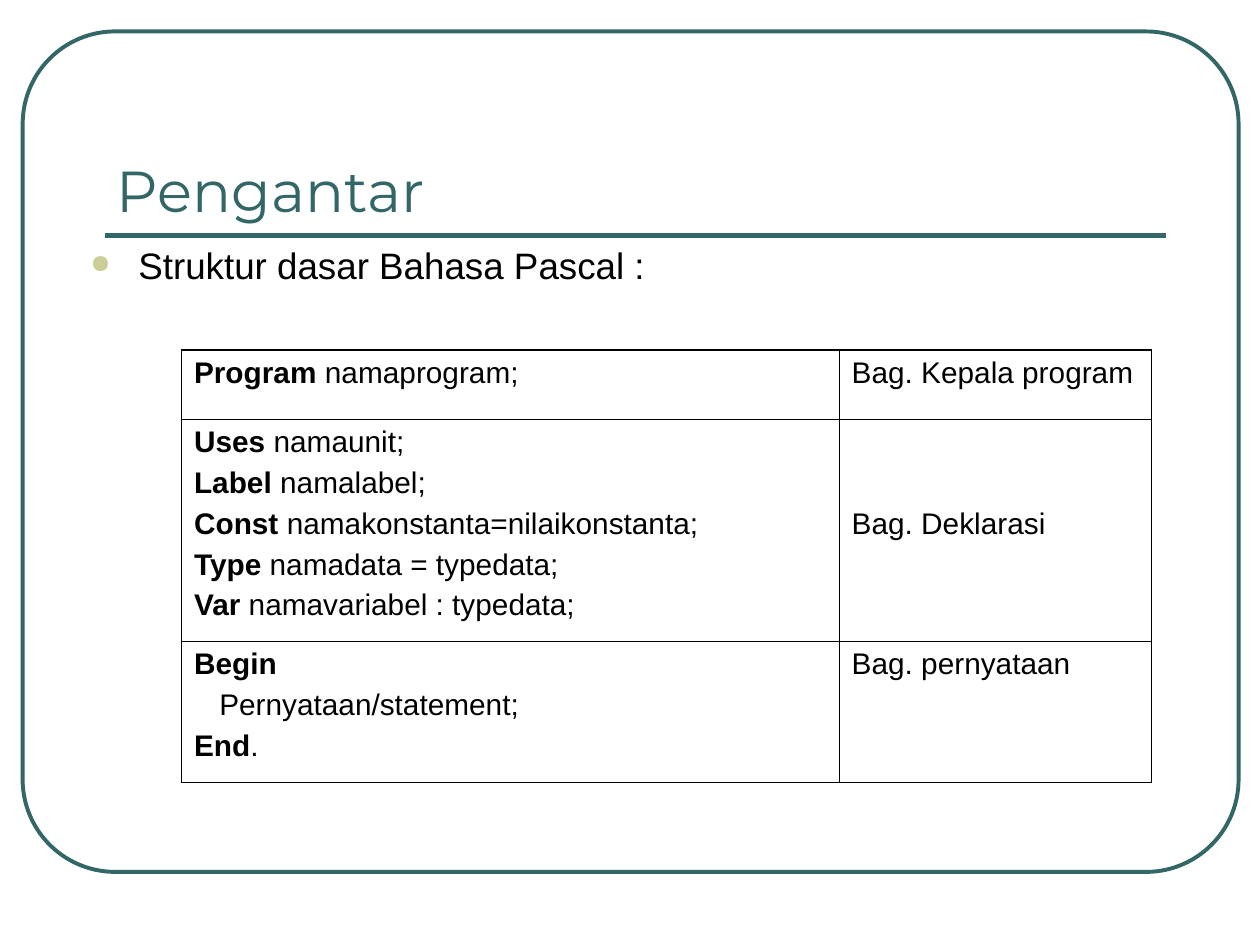
from lxml.etree import SubElement
from pptx import Presentation
from pptx.dml.color import RGBColor
from pptx.enum.shapes import MSO_CONNECTOR, MSO_SHAPE
from pptx.enum.text import MSO_ANCHOR
from pptx.oxml.ns import qn
from pptx.util import Inches, Pt

COLORS = {"frame": "336666", "bullet": "CCCC99", "text": "000000"}
TITLE = "Pengantar"
INTRO = "Struktur dasar Bahasa Pascal :"
# Each row: code lines as (keyword, rest), section name, lines the name is moved down
ROWS = [
    ([("Program", " namaprogram;")], "Bag. Kepala program", 0),
    ([("Uses", " namaunit;"),
      ("Label", " namalabel;"),
      ("Const", " namakonstanta=nilaikonstanta;"),
      ("Type", " namadata = typedata;"),
      ("Var", " namavariabel : typedata;")], "Bag. Deklarasi", 2),
    ([("Begin", ""),
      ("", "Pernyataan/statement;"),
      ("End", ".")], "Bag. pernyataan", 0),
]
COLUMN_WIDTHS = [5.22, 2.48]
ROW_HEIGHTS = [0.55, 1.76, 1.12]
LINE_STEP = 0.325
STATEMENT_INDENT = 0.2
OUTER, INNER = 1.08, 0.45


def color(name):
    return RGBColor.from_string(COLORS[name])


def add_span(para, text, size, font="Arial", fill="text", bold=False):
    span = para.add_run()
    span.text = text
    span.font.size = Pt(size)
    span.font.name = font
    span.font.bold = bold
    span.font.color.rgb = color(fill)


def add_text_box(page, left, top, width, height, anchor):
    """Add a wrapping text box and return its first paragraph."""
    box = page.shapes.add_textbox(*map(Inches, (left, top, width, height)))
    box.text_frame.word_wrap = True
    box.text_frame.vertical_anchor = anchor
    return box.text_frame.paragraphs[0]


def add_bullet(para, indent):
    properties = para._p.get_or_add_pPr()
    properties.set("marL", str(Inches(indent)))
    properties.set("indent", str(-Inches(indent)))
    bullet_color = SubElement(properties, qn("a:buClr"))
    SubElement(bullet_color, qn("a:srgbClr"), val=COLORS["bullet"])
    SubElement(properties, qn("a:buSzPct"), val="70000")
    SubElement(properties, qn("a:buChar"), char="●")


def set_borders(cell, row, column):
    """Draw thick lines on the table's outside and thin ones between cells."""
    outside = {"L": column == 0, "R": column == len(COLUMN_WIDTHS) - 1,
               "T": row == 0, "B": row == len(ROWS) - 1}
    properties = cell._tc.get_or_add_tcPr()
    for side, is_outer in outside.items():
        line = SubElement(properties, qn(f"a:ln{side}"),
                          w=str(Pt(OUTER if is_outer else INNER)))
        fill = SubElement(line, qn("a:solidFill"))
        SubElement(fill, qn("a:srgbClr"), val=COLORS["text"])


def fill_cell(cell, lines):
    frame = cell.text_frame
    for index, (keyword, rest) in enumerate(lines):
        para = frame.add_paragraph() if index else frame.paragraphs[0]
        para.space_before = Pt(4.2)
        if keyword:
            add_span(para, keyword, 17, bold=True)
        if rest:
            add_span(para, rest, 17)


def add_frame(page):
    frame = page.shapes.add_shape(MSO_SHAPE.ROUNDED_RECTANGLE,
                                  *map(Inches, (0.18, 0.25, 9.65, 6.67)))
    frame.adjustments[0] = 0.11
    frame.shadow.inherit = False
    frame.fill.background()
    rule = page.shapes.add_connector(MSO_CONNECTOR.STRAIGHT,
                                     *map(Inches, (0.83, 1.87, 9.25, 1.87)))
    SubElement(rule._element.spPr, qn("a:effectLst"))
    for shape, width in ((frame, 2.25), (rule, 3)):
        shape.line.color.rgb = color("frame")
        shape.line.width = Pt(width)


def add_structure_table(page):
    size = (sum(COLUMN_WIDTHS), sum(ROW_HEIGHTS))
    table = page.shapes.add_table(len(ROWS), len(COLUMN_WIDTHS),
                                  *map(Inches, (1.44, 2.78, *size))).table
    table.first_row = table.horz_banding = False
    for column, width in zip(table.columns, COLUMN_WIDTHS):
        column.width = Inches(width)
    for index, (code, section, lines_down) in enumerate(ROWS):
        table.rows[index].height = Inches(ROW_HEIGHTS[index])
        code_cell, section_cell = table.cell(index, 0), table.cell(index, 1)
        fill_cell(code_cell, code)
        fill_cell(section_cell, [("", section)])
        section_cell.margin_top = Inches(0.05 + lines_down * LINE_STEP)
        for column, cell in enumerate((code_cell, section_cell)):
            set_borders(cell, index, column)
            cell.fill.background()
        for para, (keyword, _) in zip(code_cell.text_frame.paragraphs, code):
            if not keyword:
                para._p.get_or_add_pPr().set("marL", str(Inches(STATEMENT_INDENT)))


def main():
    deck = Presentation()
    deck.slide_width, deck.slide_height = Inches(10), Inches(7.5)
    page = deck.slides.add_slide(deck.slide_layouts[6])
    add_frame(page)

    title = add_text_box(page, 0.83, 0.58, 8.42, 1.25, MSO_ANCHOR.BOTTOM)
    add_span(title, TITLE, 33, "Montserrat", "frame")

    intro = add_text_box(page, 0.62, 1.92, 8.8, 0.42, MSO_ANCHOR.TOP)
    intro.line_spacing = 0.9
    intro.space_before = Pt(5.2)
    add_bullet(intro, 0.38)
    add_span(intro, INTRO, 21)

    add_structure_table(page)
    deck.save("out.pptx")


if __name__ == "__main__":
    main()
